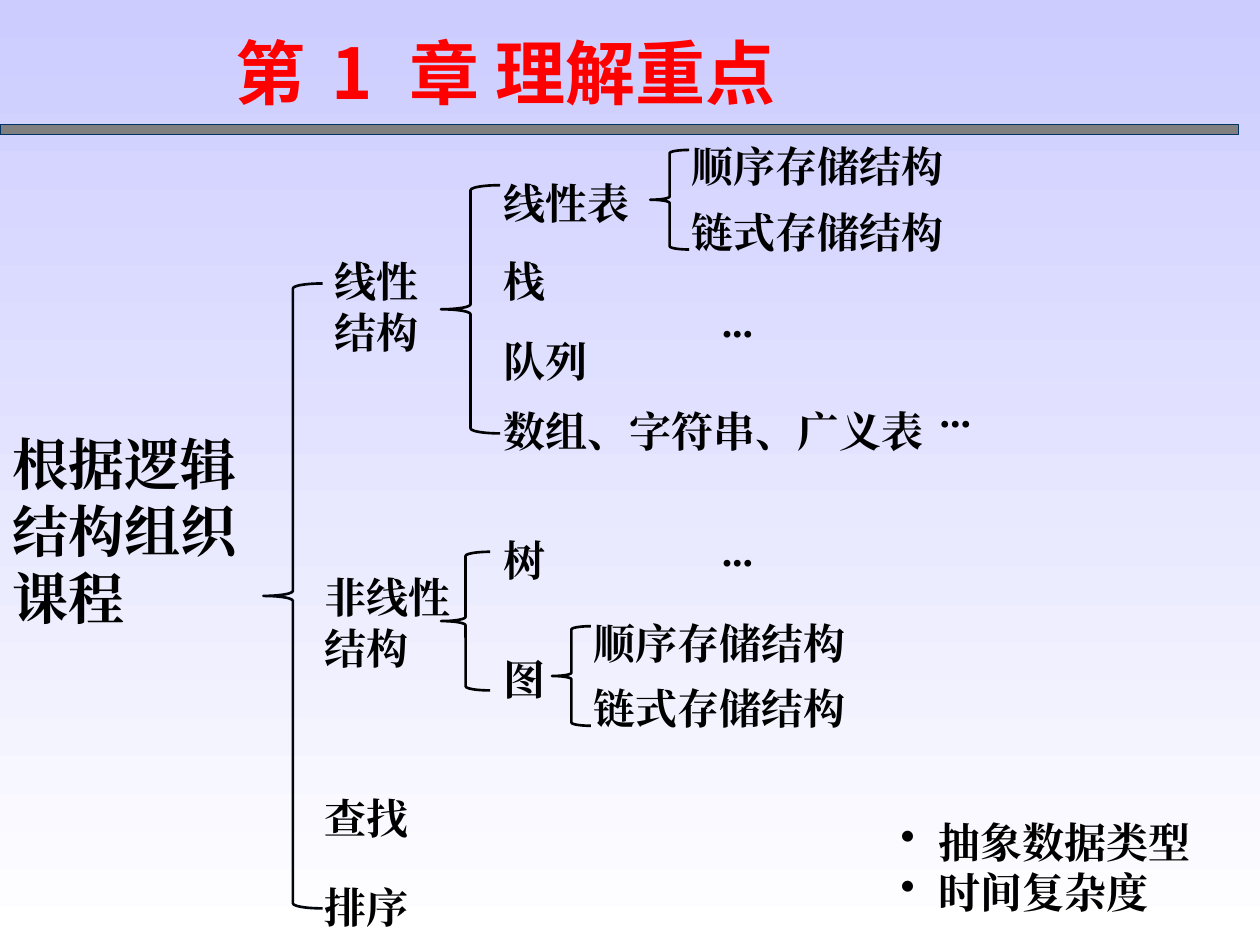
from dataclasses import dataclass

from pptx import Presentation
from pptx.dml.color import RGBColor
from pptx.enum.shapes import MSO_SHAPE as Shape
from pptx.enum.text import MSO_AUTO_SIZE as AutoSize
from pptx.oxml.ns import qn
from pptx.util import Inches, Pt


@dataclass(frozen=True)
class Theme:
    title_font: str = "Noto Sans CJK SC"
    body_font: str = "Times New Roman"
    title_size: int = 40
    topic_size: int = 32
    body_size: int = 24
    title_red: str = "FF0000"
    ink: str = "000000"
    root_line: str = "00060C"
    bar_fill: str = "808080"
    bar_line: str = "003366"
    sky: str = "CCCCFF"
    white: str = "FFFFFF"


THEME = Theme()


def rgb(value):
    return RGBColor.from_string(value)


def paint_background(page):
    fill = page.background.fill
    fill.gradient()
    fill.gradient_angle = 270
    for stop, color in zip(fill.gradient_stops, (THEME.sky, THEME.white)):
        stop.color.rgb = rgb(color)


def style_span(span, size, color, font):
    span.font.size = Pt(size)
    span.font.bold = True
    span.font.color.rgb = rgb(color)
    span.font.name = font
    east_asian = span.font._element.makeelement(qn("a:ea"), {"typeface": font})
    span.font._element.find(qn("a:latin")).addnext(east_asian)


def add_label(shapes, text, left, top, width, height=0.5,
              size=THEME.body_size, color=THEME.ink, font=THEME.body_font):
    box = shapes.add_textbox(Inches(left), Inches(top), Inches(width), Inches(height))
    frame = box.text_frame
    frame.word_wrap = True
    frame.auto_size = AutoSize.SHAPE_TO_FIT_TEXT
    frame.text = text
    for para in frame.paragraphs:
        for span in para.runs:
            style_span(span, size, color, font)
    return box


def add_title(page):
    box = add_label(page.shapes, "", 1.77, 0.13, 5.56, 0.77)
    para = box.text_frame.paragraphs[0]
    para.line_spacing = Pt(52)
    for text, tracking in (("第", 0), (" 1 ", 600), ("章 理解重点", 0)):
        span = para.add_run()
        span.text = text
        style_span(span, THEME.title_size, THEME.title_red, THEME.title_font)
        if tracking:
            span.font._element.set("spc", str(tracking))


def add_bar(page):
    bar = page.shapes.add_shape(
        Shape.RECTANGLE, Inches(0), Inches(0.99), Inches(9.83), Inches(0.08))
    bar.shadow.inherit = False
    bar.fill.solid()
    bar.fill.fore_color.rgb = rgb(THEME.bar_fill)
    bar.line.color.rgb = rgb(THEME.bar_line)
    bar.line.width = Pt(0.75)


def add_brace(shapes, left, top, width, height, color=THEME.ink):
    brace = shapes.add_shape(
        Shape.LEFT_BRACE, Inches(left), Inches(top), Inches(width), Inches(height))
    brace.shadow.inherit = False
    brace.fill.background()
    brace.line.color.rgb = rgb(color)
    brace.line.width = Pt(1.5)


def add_storage_branch(page, left, top):
    """Group the two storage structures behind one brace."""
    group = page.shapes.add_group_shape()
    add_brace(group.shapes, left - 0.23, top + 0.12, 0.31, 0.79)
    for row, text in enumerate(("顺序存储结构", "链式存储结构")):
        add_label(group.shapes, text, left, top + row * 0.52, 2.68)


def add_bullets(page, items):
    box = add_label(page.shapes, "\n".join(items), 7.05, 6.43, 2.91, 0.9)
    indent = Inches(0.3)
    for para in box.text_frame.paragraphs:
        properties = para._p.get_or_add_pPr()
        properties.set("marL", str(indent))
        properties.set("indent", str(-indent))
        color = properties.makeelement(qn("a:buClr"), {})
        color.append(color.makeelement(qn("a:srgbClr"), {"val": THEME.ink}))
        properties.append(color)
        properties.append(properties.makeelement(qn("a:buChar"), {"char": "•"}))


def main():
    deck = Presentation()
    deck.slide_width, deck.slide_height = Inches(10), Inches(7.5)
    page = deck.slides.add_slide(deck.slide_layouts[6])
    shapes = page.shapes
    paint_background(page)
    add_bar(page)
    add_title(page)

    add_label(shapes, "根据逻辑结构组织课程", 0, 3.36, 2.4, 1.7, THEME.topic_size)
    add_brace(shapes, 2.09, 2.25, 0.47, 4.96, THEME.root_line)
    add_label(shapes, "线性\n结构", 2.56, 1.98, 2.28, 0.9)
    add_label(shapes, "非线性\n结构", 2.48, 4.49, 1.34, 0.9)
    for text, top in (("查找", 6.24), ("排序", 6.95)):
        add_label(shapes, text, 2.48, top, 1.34)

    add_brace(shapes, 3.5, 1.47, 0.47, 1.97)
    add_brace(shapes, 3.5, 4.38, 0.39, 1.1)
    structures = (("线性表", 1.36), ("栈", 1.98), ("队列", 2.61), ("树", 4.19), ("图", 5.14))
    for text, top in structures:
        add_label(shapes, text, 3.9, top, 1.34)
    add_label(shapes, "数组、字符串、广义表", 3.9, 3.17, 3.78)

    add_storage_branch(page, 4.61, 4.85)
    add_storage_branch(page, 5.39, 1.07)
    for left, top in ((5.63, 2.3), (7.36, 3.01), (5.63, 4.11)):
        add_label(shapes, "...", left, top, 0.71)
    add_bullets(page, ("抽象数据类型", "时间复杂度"))
    deck.save("out.pptx")


if __name__ == "__main__":
    main()
